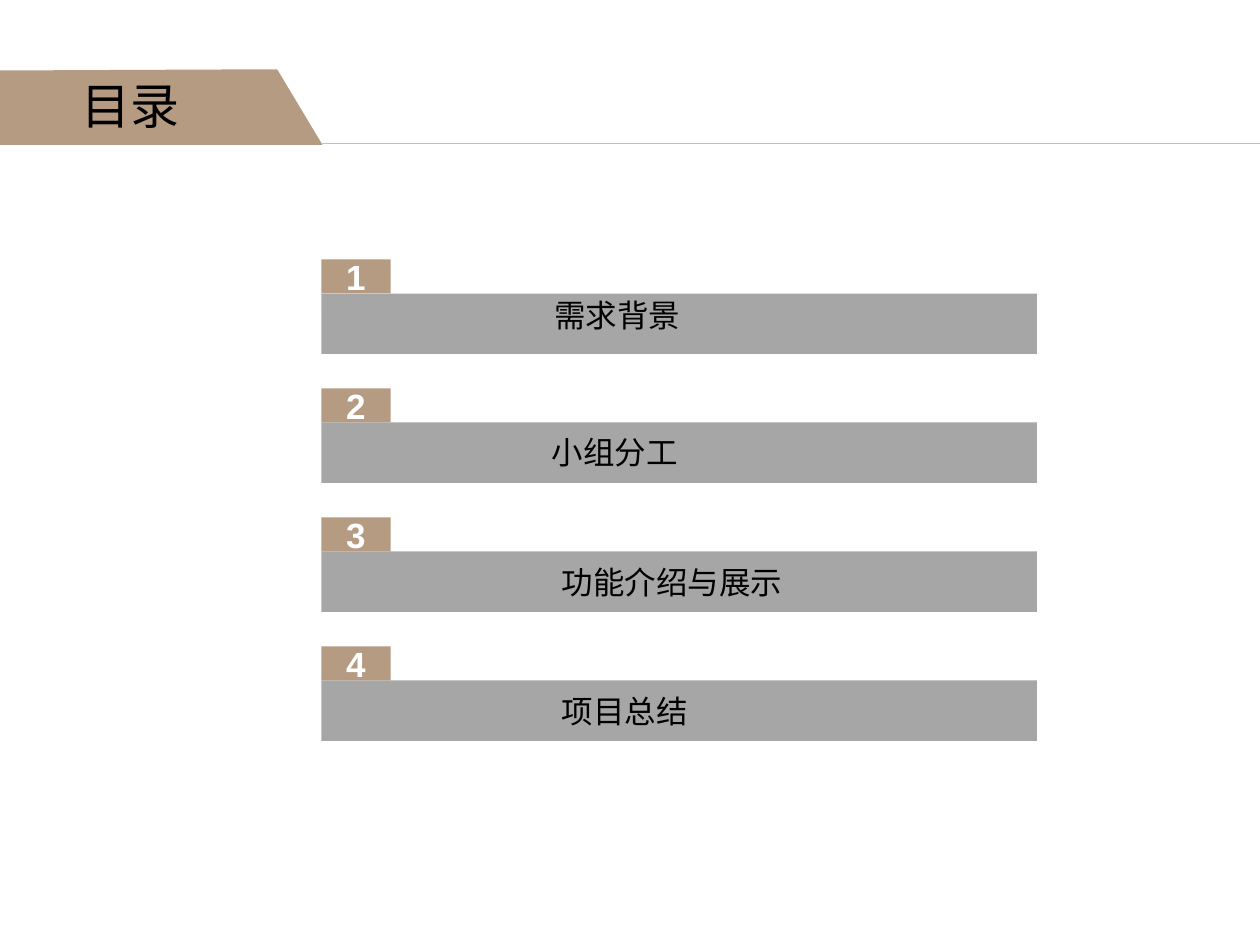
"""Build the contents slide: a title banner and four numbered bars."""
from lxml.etree import SubElement
from pptx import Presentation
from pptx.dml.color import RGBColor
from pptx.enum.shapes import MSO_CONNECTOR as Connector, MSO_SHAPE as Shape
from pptx.enum.text import MSO_ANCHOR as Anchor, MSO_AUTO_SIZE as AutoSize, PP_ALIGN as Align
from pptx.oxml.ns import qn
from pptx.util import Inches, Pt

TITLE = "目录"
CHAPTERS = [
    ("需求背景", 4.3, 2.3, 1.2),
    ("小组分工", 4.28, 3.39, 1.2),
    ("功能介绍与展示", 4.36, 4.42, 1.95),
    ("项目总结", 4.36, 5.44, 1.2),
]
COLORS = {"tan": "B69B83", "gray": "A6A6A6", "rule": "BFBFBF", "white": "FFFFFF", "black": "000000"}
LATIN, CHINESE = "Arial", "Noto Sans CJK SC"
BANNER = [(0, 0.56), (2.2, 0.55), (2.56, 1.15), (0, 1.15)]
LEFT, FIRST_TOP, LAST_TOP = 2.55, 2.06, 5.13
TAB_WIDTH, TAB_HEIGHT = 0.55, 0.27
BAR_WIDTH, BAR_HEIGHT = 5.68, 0.48
PITCH = (LAST_TOP - FIRST_TOP) / (len(CHAPTERS) - 1)


def rgb(name):
    return RGBColor.from_string(COLORS[name])


def paint(shape, color):
    shape.shadow.inherit = False
    shape.fill.solid()
    shape.fill.fore_color.rgb = rgb(color)
    shape.line.fill.background()


def write(frame, text, size, font, color, bold=False):
    paragraph = frame.paragraphs[0]
    paragraph.text = text
    style = paragraph.font
    style.name, style.size, style.bold = font, Pt(size), bold
    style.color.rgb = rgb(color)
    SubElement(paragraph._p.pPr.find(qn("a:defRPr")), qn("a:ea"), typeface=font)
    return paragraph


def add_block(slide, left, top, width, height, color):
    block = slide.shapes.add_shape(Shape.RECTANGLE, *map(Inches, (left, top, width, height)))
    paint(block, color)
    return block


def add_label(slide, text, left, top, width, height, size, wrap):
    frame = slide.shapes.add_textbox(*map(Inches, (left, top, width, height))).text_frame
    frame.word_wrap = wrap
    frame.auto_size = AutoSize.SHAPE_TO_FIT_TEXT
    write(frame, text, size, CHINESE, "black")


def add_header(slide):
    corners = [(Inches(x), Inches(y)) for x, y in BANNER]
    outline = slide.shapes.build_freeform(*corners[0])
    outline.add_line_segments(corners[1:], close=True)
    paint(outline.convert_to_shape(), "tan")
    rule = slide.shapes.add_connector(
        Connector.STRAIGHT, Inches(LEFT), Inches(1.14), Inches(10), Inches(1.14))
    rule.line.color.rgb = rgb("rule")
    rule.line.width = Pt(0.25)
    SubElement(rule._element.spPr, qn("a:effectLst"))
    add_label(slide, TITLE, 0.55, 0.55, 1.09, 0.57, 28, True)


def add_chapter(slide, number, name, left, top, width):
    tab_top = FIRST_TOP + (number - 1) * PITCH
    add_block(slide, LEFT, tab_top + TAB_HEIGHT, BAR_WIDTH, BAR_HEIGHT, "gray")
    tab = add_block(slide, LEFT, tab_top, TAB_WIDTH, TAB_HEIGHT, "tan")
    tab.text_frame.vertical_anchor = Anchor.MIDDLE
    write(tab.text_frame, str(number), 20, LATIN, "white", True).alignment = Align.CENTER
    add_label(slide, name, left, top, width, 0.4, 18, False)


def main():
    deck = Presentation()
    deck.slide_width, deck.slide_height = Inches(10), Inches(7.5)
    slide = deck.slides.add_slide(deck.slide_layouts[6])
    add_header(slide)
    for number, chapter in enumerate(CHAPTERS, 1):
        add_chapter(slide, number, *chapter)
    deck.save("out.pptx")


if __name__ == "__main__":
    main()
